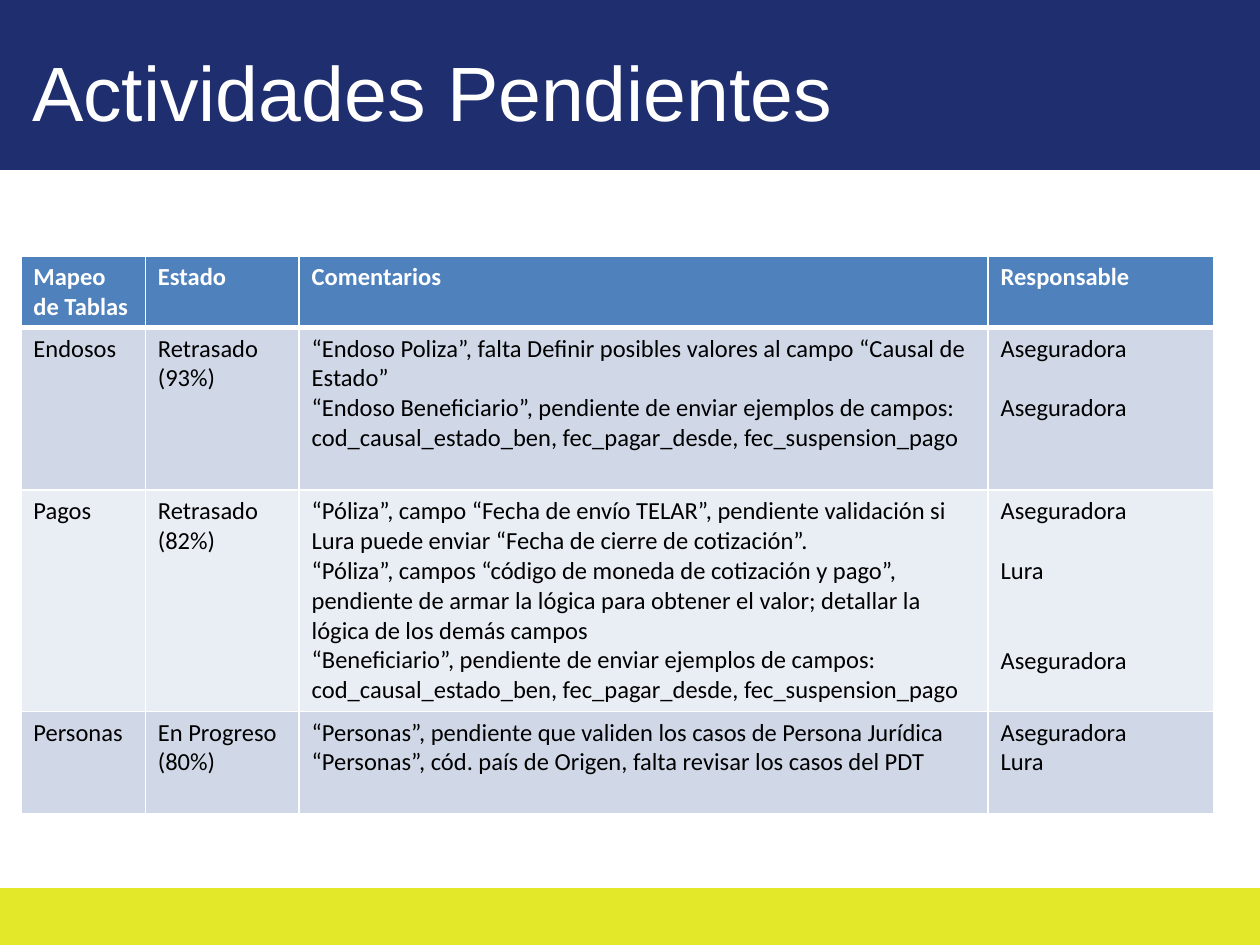
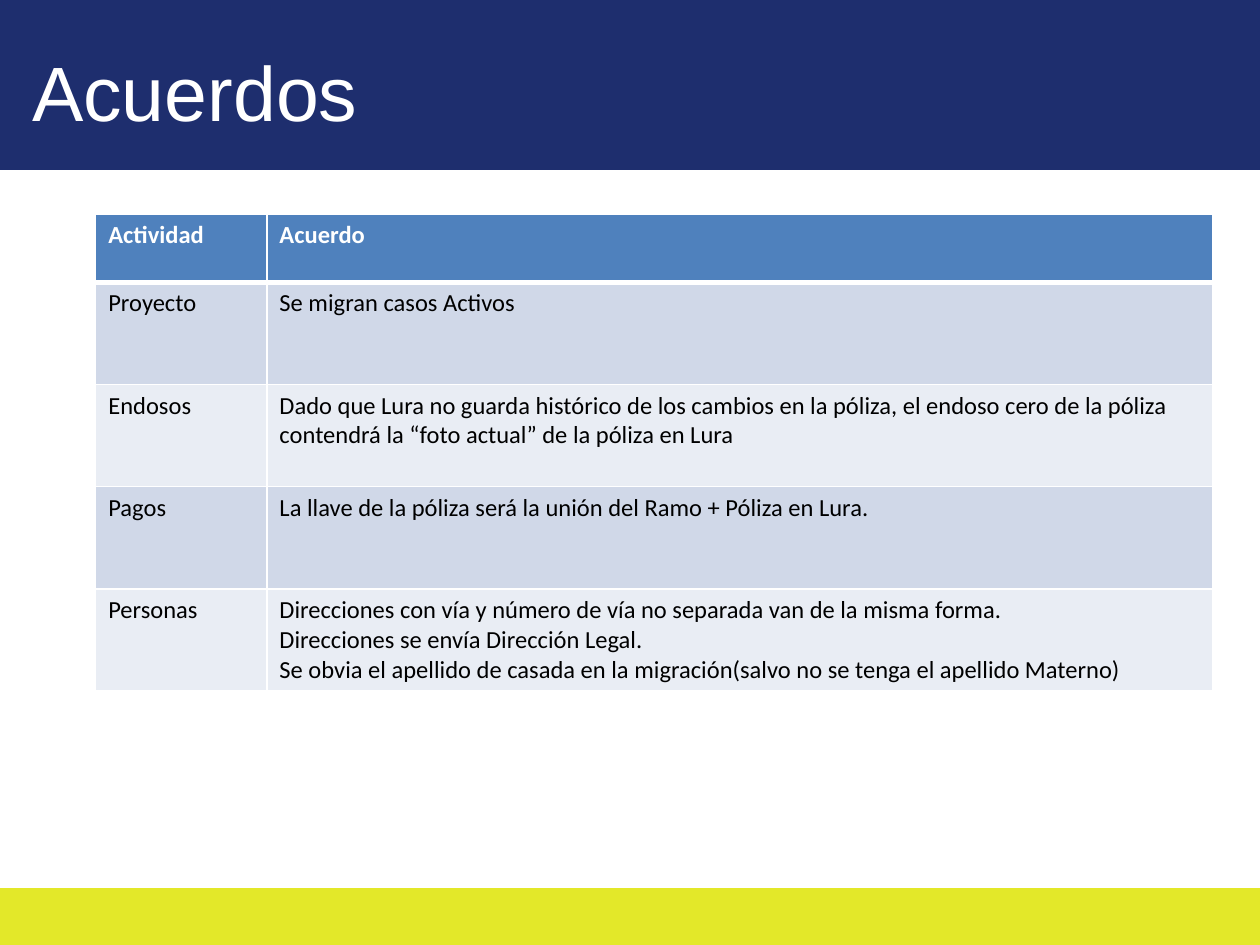
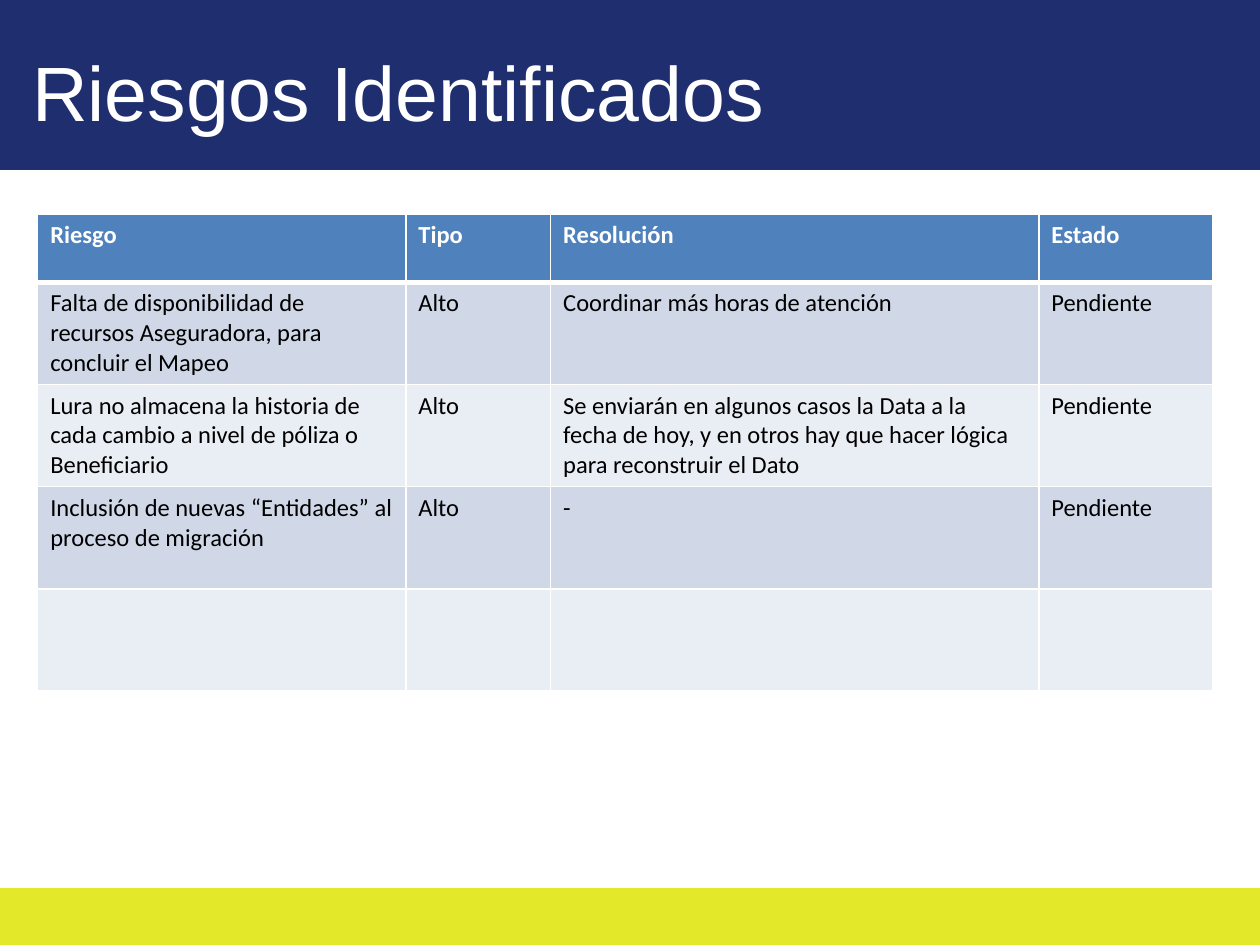
import pptx
import pptx.dml.color
import pptx.enum.shapes
import pptx.enum.text
import pptx.util
from lxml import etree
from pptx.oxml.ns import qn

Cm, Pt = pptx.util.Cm, pptx.util.Pt

# Content: a cell is a list of paragraphs; a tuple is (paragraph, lines left free above it)
SLIDES = [
    {
        "title": "Actividades Pendientes",
        "at": (0.42, 5.16),
        "cols": [2.51, 3.1, 13.89, 4.54],
        "rows": [1.42, 3.28, 4.46, 2.06],
        "cells": [
            [["Mapeo de Tablas"], ["Estado"], ["Comentarios"], ["Responsable"]],
            [["Endosos"], ["Retrasado", "(93%)"],
             ["“Endoso Poliza”, falta Definir posibles valores al campo “Causal de Estado”",
              "“Endoso Beneficiario”, pendiente de enviar ejemplos de campos: "
              "cod_causal_estado_ben, fec_pagar_desde, fec_suspension_pago"],
             ["Aseguradora", ("Aseguradora", 1)]],
            [["Pagos"], ["Retrasado", "(82%)"],
             ["“Póliza”, campo “Fecha de envío TELAR”, pendiente validación si "
              "Lura puede enviar “Fecha de cierre de cotización”.",
              "“Póliza”, campos “código de moneda de cotización y pago”, pendiente de armar "
              "la lógica para obtener el valor; detallar la lógica de los demás campos",
              "“Beneficiario”, pendiente de enviar ejemplos de campos: "
              "cod_causal_estado_ben, fec_pagar_desde, fec_suspension_pago"],
             ["Aseguradora", ("Lura", 1), ("Aseguradora", 2)]],
            [["Personas"], ["En Progreso", "(80%)"],
             ["“Personas”, pendiente que validen los casos de Persona Jurídica",
              "“Personas”, cód. país de Origen, falta revisar los casos del PDT"],
             ["Aseguradora", "Lura"]],
        ],
    },
    {
        "title": "Acuerdos",
        "at": (1.93, 4.32),
        "cols": [3.45, 19.06],
        "rows": [1.37] + [2.06] * 4,
        "cells": [
            [["Actividad"], ["Acuerdo"]],
            [["Proyecto"], ["Se migran casos Activos"]],
            [["Endosos"],
             ["Dado que Lura no guarda histórico de los cambios en la póliza, el endoso cero "
              "de la póliza contendrá la “foto actual” de la póliza en Lura"]],
            [["Pagos"], ["La llave de la póliza será la unión del Ramo + Póliza en Lura."]],
            [["Personas"],
             ["Direcciones con vía y número de vía no separada van de la misma forma.",
              "Direcciones se envía Dirección Legal.",
              "Se obvia el apellido de casada en la migración"
              "(salvo no se tenga el apellido Materno)"]],
        ],
    },
    {
        "title": "Riesgos Identificados",
        "at": (0.76, 4.32),
        "cols": [7.42, 2.92, 9.84, 3.5],
        "rows": [1.37] + [2.06] * 4,
        "cells": [
            [["Riesgo"], ["Tipo"], ["Resolución"], ["Estado"]],
            [["Falta de disponibilidad de recursos Aseguradora, para concluir el Mapeo"],
             ["Alto"], ["Coordinar más horas de atención"], ["Pendiente"]],
            [["Lura no almacena la historia de cada cambio a nivel de póliza o Beneficiario"],
             ["Alto"],
             ["Se enviarán en algunos casos la Data a la fecha de hoy, y en otros hay que "
              "hacer lógica para reconstruir el Dato"], ["Pendiente"]],
            [["Inclusión de nuevas “Entidades” al proceso de migración"],
             ["Alto"], ["-"], ["Pendiente"]],
            [[], [], [], []],
        ],
    },
]

# Shared look
COLORS = {
    "navy": "1E2E6E", "lime": "E3E829", "white": "FFFFFF", "black": "000000",
    "header": "4F81BD", "odd": "D0D8E8", "even": "E9EDF4",
}
WIDTH, HEIGHT = 25.4, 19.05
BANDS = [("lime", 17.93, 1.12), ("navy", 0, 3.4)]  # colour, top, height
LINE_PT = 17.1  # height of one 14 pt text line
TITLE = {"name": "Arial", "size": Pt(44), "bold": False}
HEAD = {"name": "Calibri", "size": Pt(14), "bold": True}
BODY = {**HEAD, "bold": False}


def rgb(color):
    return pptx.dml.color.RGBColor.from_string(COLORS[color])


def paint(fill, color):
    fill.solid()
    fill.fore_color.rgb = rgb(color)


def add_run(p, text, font, color):
    r = p.add_run()
    r.text = text
    for key, value in font.items():
        setattr(r.font, key, value)
    r.font.color.rgb = rgb(color)


def add_band(s, color, top, height):
    sp = s.shapes.add_shape(pptx.enum.shapes.MSO_SHAPE.RECTANGLE,
                            0, Cm(top), Cm(WIDTH), Cm(height))
    sp.shadow.inherit = False
    paint(sp.fill, color)
    sp.line.color.rgb = rgb(color)
    sp.line.width = Pt(2)


def add_title(s, text):
    tf = s.shapes.add_textbox(Cm(0.4), Cm(0.79), Cm(22.86), Cm(2.06)).text_frame
    tf.word_wrap = True
    tf.vertical_anchor = pptx.enum.text.MSO_ANCHOR.MIDDLE
    add_run(tf.paragraphs[0], text, TITLE, "white")


def set_borders(cell, row):
    # The rule below the header is thicker than the others
    widths = {"L": 1, "R": 1, "T": 3 if row == 1 else 1, "B": 3 if row == 0 else 1}
    tc_pr = cell._tc.get_or_add_tcPr()
    for side, width in widths.items():
        ln = etree.SubElement(tc_pr, qn(f"a:ln{side}"), w=str(Pt(width)))
        fill = etree.SubElement(ln, qn("a:solidFill"))
        etree.SubElement(fill, qn("a:srgbClr"), val=COLORS["white"])


def fill_cell(cell, row, paragraphs):
    set_borders(cell, row)
    paint(cell.fill, "header" if row == 0 else "odd" if row % 2 else "even")
    font, color = (HEAD, "white") if row == 0 else (BODY, "black")
    tf = cell.text_frame
    for i, item in enumerate(paragraphs):
        text, free_lines = item if isinstance(item, tuple) else (item, 0)
        p = tf.add_paragraph() if i else tf.paragraphs[0]
        if free_lines:
            p.space_before = Pt(free_lines * LINE_PT)
        add_run(p, text, font, color)


def add_grid(s, at, cols, rows, cells):
    table = s.shapes.add_table(len(rows), len(cols), Cm(at[0]), Cm(at[1]),
                               Cm(sum(cols)), Cm(sum(rows))).table
    table.horz_banding = False
    for column, width in zip(table.columns, cols):
        column.width = Cm(width)
    for i, height in enumerate(rows):
        table.rows[i].height = Cm(height)
        for j, paragraphs in enumerate(cells[i]):
            fill_cell(table.cell(i, j), i, paragraphs)


def main():
    prs = pptx.Presentation()
    prs.slide_width, prs.slide_height = Cm(WIDTH), Cm(HEIGHT)
    for content in SLIDES:
        s = prs.slides.add_slide(prs.slide_layouts[6])
        for band in BANDS:
            add_band(s, *band)
        add_title(s, content["title"])
        add_grid(s, *(content[key] for key in ("at", "cols", "rows", "cells")))
    prs.save("out.pptx")


if __name__ == "__main__":
    main()
